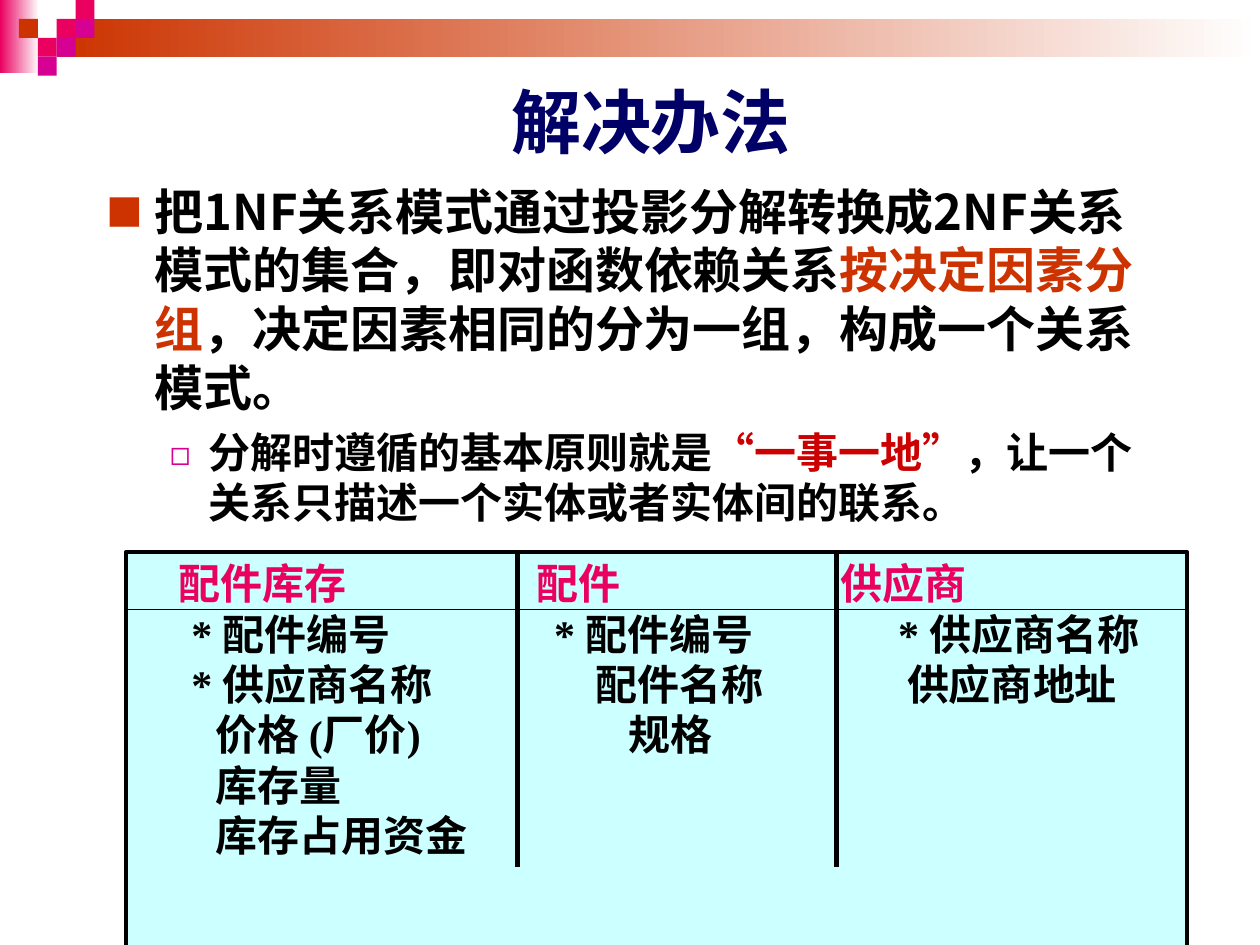
from lxml import etree
from pptx import Presentation, util as u
from pptx.dml.color import RGBColor
from pptx.enum import shapes, text
from pptx.oxml.ns import qn

CJK = "Noto Sans CJK SC"
BLACK, ORANGE, PINK, MAGENTA = "000000", "CC3300", "EA005F", "D60093"
PIXEL = 0.15
PIXELS = [(3, 1, PINK), (4, 0, PINK), (4, 1, MAGENTA), (2, 2, PINK),
          (1, 1, ORANGE), (3, 2, MAGENTA), (2, 3, MAGENTA)]
POINTS = [
    dict(size=28, pitch=33.5, before=0, margin=0.38, hang=0.38,
         bullet=("■", ORANGE, 75), runs=[
             ("把1NF关系模式通过投影分解转换成2NF关系模式的集合，即", CJK, BLACK),
             ("对函数依赖关系", "Arial", BLACK),
             ("按决定因素分组", "Arial", ORANGE),
             ("，决定因素相同的分为一组，构成一个关系模式。", "Arial", BLACK)]),
    dict(size=24, pitch=28.75, before=6, margin=0.81, hang=0.31,
         bullet=("◻", MAGENTA, 80), runs=[
             ("分解时遵循的基本原则就是", CJK, BLACK),
             ("“", "Arial", "CC0000"),
             ("一事一地", CJK, "CC0000"),
             ("”", "Arial", "CC0000"),
             ("，让一个关系只描述一个实体或者实体间的联系。", CJK, BLACK)]),
]
RELATION_ROWS = [
    (PINK, [(0.32, "配件库存"), (3.16, "配件"), (5.57, "供应商")]),
    (BLACK, [(0.42, "* 配件编号"), (3.3, "* 配件编号"), (6.03, "* 供应商名称")]),
    (BLACK, [(0.42, "* 供应商名称"), (3.63, "配件名称"), (6.1, "供应商地址")]),
    (BLACK, [(0.61, "价格 (厂价)"), (3.89, "规格")]),
    (BLACK, [(0.61, "库存量")]),
    (BLACK, [(0.61, "库存占用资金")]),
]


def colour(value):
    """Turn a hex string into a colour."""
    return RGBColor.from_string(value)


def apply(target, values):
    """Set attributes from a dict of format values."""
    for name, value in values.items():
        setattr(target, name, value)


def add_block(slide, box, fill, fade=False):
    """Add a plain rectangle, solid or fading to white."""
    block = slide.shapes.add_shape(shapes.MSO_SHAPE.RECTANGLE, *map(u.Inches, box))
    block.shadow.inherit = False
    block.line.fill.background()
    if fade:
        block.fill.gradient()
        block.fill.gradient_angle = 0
        for stop, value, position in zip(block.fill.gradient_stops, (fill, "FFFFFF"), (0, 1)):
            stop.color.rgb = colour(value)
            stop.position = position
    else:
        block.fill.solid()
        block.fill.fore_color.rgb = colour(fill)
    return block


def add_run(paragraph, words, font, size, value):
    """Add a bold run with its Latin and East Asian fonts."""
    run = paragraph.add_run()
    run.text = words
    apply(run.font, dict(name=font, size=u.Pt(size), bold=True))
    run.font.color.rgb = colour(value)
    latin = run.font._element.find(qn("a:latin"))
    latin.addnext(latin.makeelement(qn("a:ea"), {"typeface": CJK}))


def add_frame(slide, box, anchor):
    """Add a wrapping text box and return its frame."""
    frame = slide.shapes.add_textbox(*map(u.Inches, box)).text_frame
    apply(frame, dict(word_wrap=True, vertical_anchor=anchor))
    return frame


def next_paragraph(frame, index):
    """Return the first paragraph, or a new one after it."""
    return frame.add_paragraph() if index else frame.paragraphs[0]


def set_bullet(paragraph, mark, value, percent, margin, hang):
    """Give a paragraph a coloured bullet and a hanging indent."""
    props = paragraph._p.get_or_add_pPr()
    props.set("marL", str(u.Inches(margin)))
    props.set("indent", str(-u.Inches(hang)))
    tint = etree.SubElement(props, qn("a:buClr"))
    etree.SubElement(tint, qn("a:srgbClr"), val=value)
    etree.SubElement(props, qn("a:buSzPct"), val=str(percent * 1000))
    etree.SubElement(props, qn("a:buFont"), typeface=CJK)
    etree.SubElement(props, qn("a:buChar"), char=mark)


def set_tabs(paragraph, stops):
    """Give a paragraph left tab stops."""
    tabs = etree.SubElement(paragraph._p.get_or_add_pPr(), qn("a:tabLst"))
    for stop in stops:
        etree.SubElement(tabs, qn("a:tab"), pos=str(u.Inches(stop)), algn="l")


def add_rule(slide, start, end, width):
    """Add a straight black rule."""
    rule = slide.shapes.add_connector(
        shapes.MSO_CONNECTOR.STRAIGHT, *map(u.Inches, (*start, *end)))
    rule.line.color.rgb = colour(BLACK)
    rule.line.width = u.Pt(width)
    etree.SubElement(rule._element.spPr, qn("a:effectLst"))


def add_banner(slide):
    """Add the fading bars and the pixel pattern at the top."""
    add_block(slide, (0, 0, 0.31, 0.58), PINK, fade=True)
    add_block(slide, (0.45, 0.15, 9.55, 0.3), ORANGE, fade=True)
    for column, row, value in PIXELS:
        add_block(slide, (column * PIXEL, row * PIXEL, PIXEL, PIXEL), value)


def add_title(slide):
    """Add the centred title."""
    frame = add_frame(slide, (0.98, 0.68, 8.5, 0.56), text.MSO_ANCHOR.MIDDLE)
    title = frame.paragraphs[0]
    title.alignment = text.PP_ALIGN.CENTER
    add_run(title, "解决办法 ", "Arial", 40, "000066")


def add_points(slide):
    """Add the two levels of bulleted text."""
    frame = add_frame(slide, (0.75, 1.39, 8.67, 2.91), text.MSO_ANCHOR.TOP)
    for index, point in enumerate(POINTS):
        paragraph = next_paragraph(frame, index)
        set_bullet(paragraph, *point["bullet"], point["margin"], point["hang"])
        apply(paragraph, dict(line_spacing=u.Pt(point["pitch"]),
                              space_before=u.Pt(point["before"])))
        for words, font, value in point["runs"]:
            add_run(paragraph, words, font, point["size"], value)


def add_relations(slide):
    """Add the panel of three relations with its dividing rules."""
    left, top, width, height = 1, 4.38, 8.42, 3.3
    panel = add_block(slide, (left, top, width, height), "CCFFFF")
    panel.line.color.rgb = colour(BLACK)
    panel.line.width = u.Pt(2.25)
    frame = panel.text_frame
    apply(frame, dict(word_wrap=True, vertical_anchor=text.MSO_ANCHOR.TOP))
    for index, (value, cells) in enumerate(RELATION_ROWS):
        paragraph = next_paragraph(frame, index)
        set_tabs(paragraph, [stop for stop, _ in cells])
        apply(paragraph, dict(alignment=text.PP_ALIGN.LEFT, line_spacing=u.Pt(28.75)))
        words = "".join("\t" + name for _, name in cells)
        add_run(paragraph, words, "Times New Roman", 24, value)
    add_rule(slide, (left, 4.84), (left + width, 4.84), 0.75)
    for divider in (4.11, 6.64):
        add_rule(slide, (divider, top), (divider, top + 2.5), 3)


def main():
    """Build and save the slide."""
    deck = Presentation()
    apply(deck, dict(slide_width=u.Inches(10), slide_height=u.Inches(7.5)))
    slide = deck.slides.add_slide(deck.slide_layouts[6])
    add_banner(slide)
    add_title(slide)
    add_points(slide)
    add_relations(slide)
    deck.save("out.pptx")


if __name__ == "__main__":
    main()
